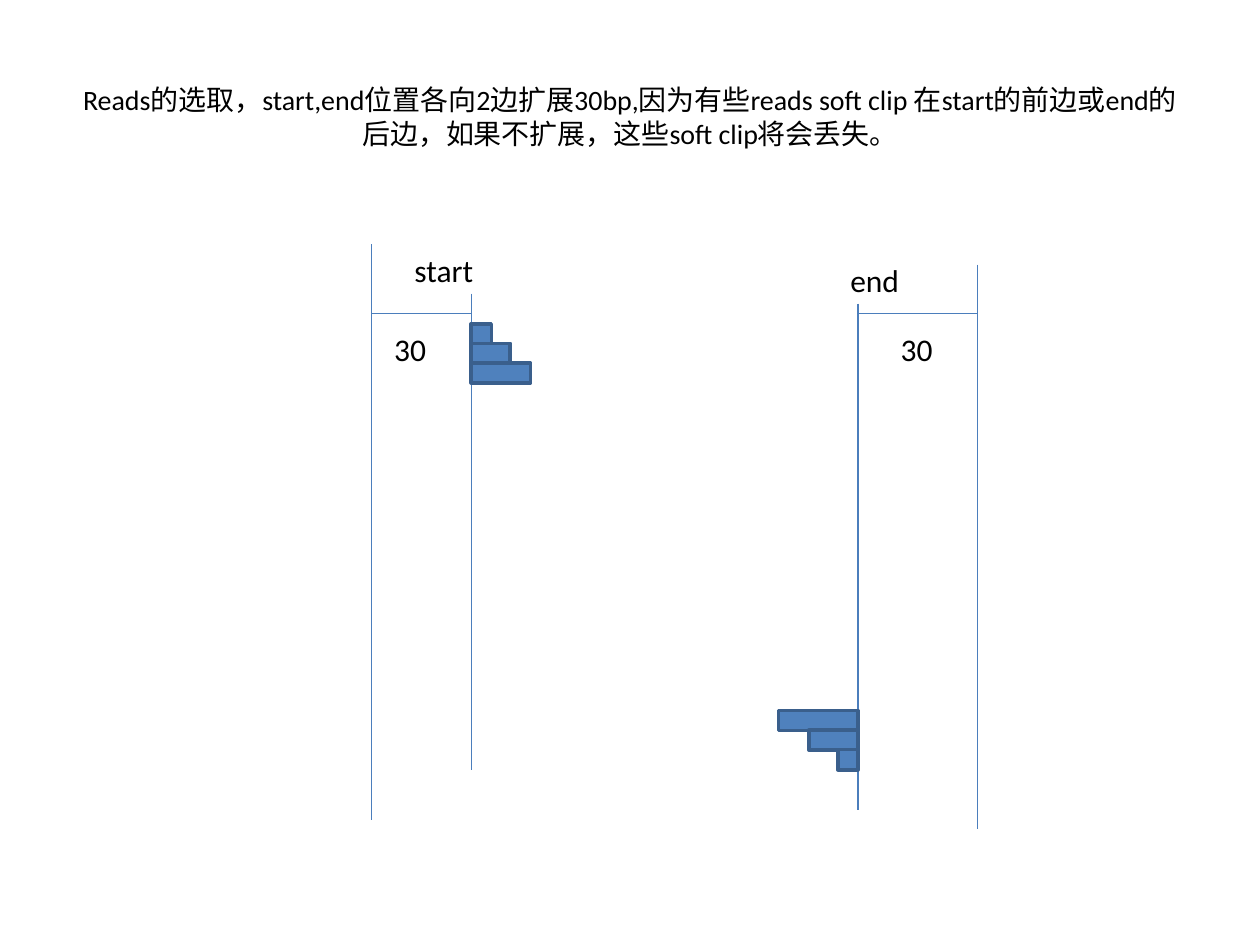
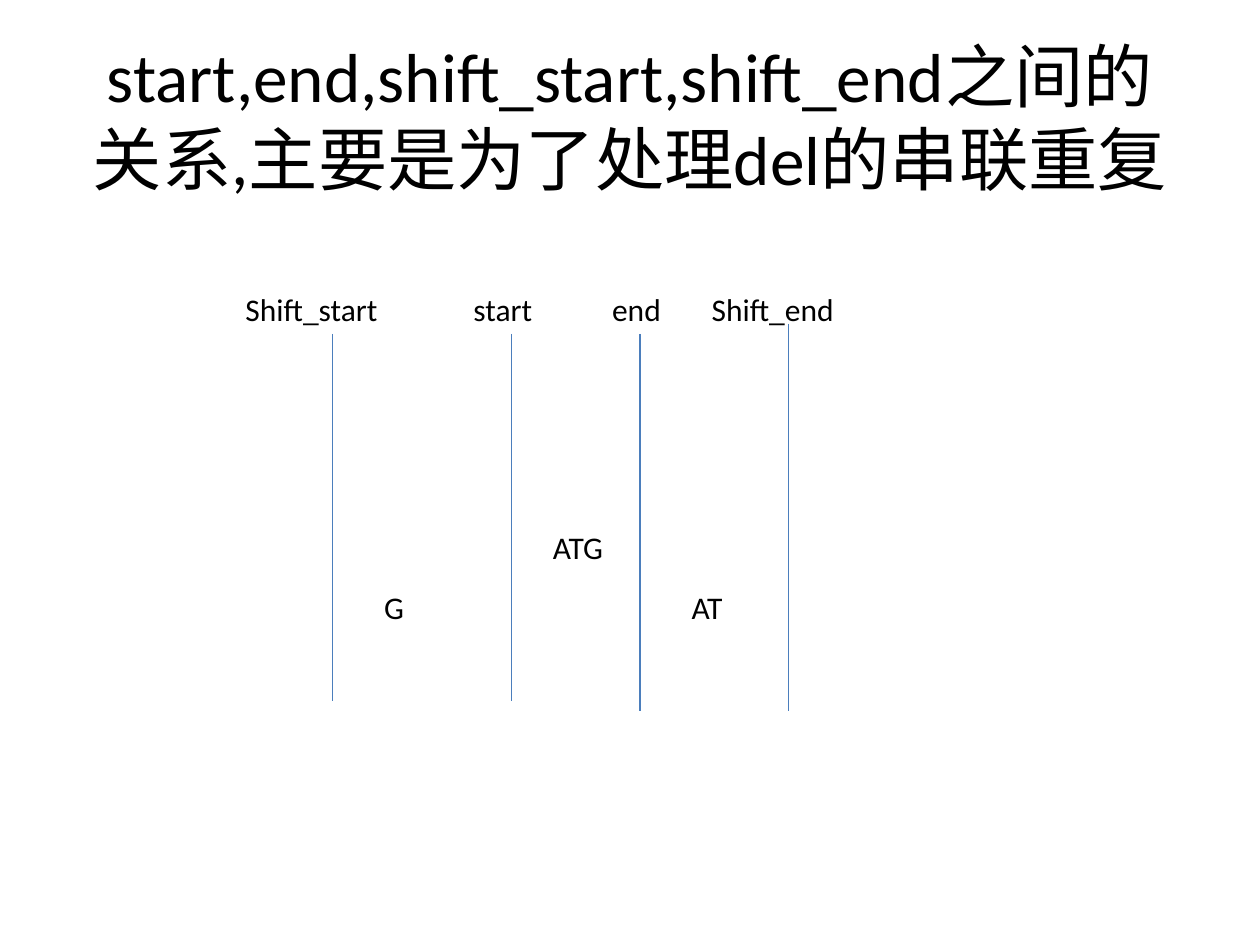
"""Two slides on read selection around start/end and on shifted deletions."""
from typing import NamedTuple

from lxml import etree
from pptx import Presentation
from pptx.dml.color import RGBColor
from pptx.enum.shapes import MSO_CONNECTOR, MSO_SHAPE
from pptx.enum.text import MSO_ANCHOR, MSO_AUTO_SIZE, PP_ALIGN
from pptx.oxml.ns import qn
from pptx.slide import Slide
from pptx.util import Inches, Pt

STRAIGHT = MSO_CONNECTOR.STRAIGHT
RECTANGLE = MSO_SHAPE.RECTANGLE
TOP, MIDDLE = MSO_ANCHOR.TOP, MSO_ANCHOR.MIDDLE
LEFT, CENTER = PP_ALIGN.LEFT, PP_ALIGN.CENTER
NO_AUTO_SIZE = MSO_AUTO_SIZE.NONE

FONT = "Calibri"
TEXT_COLOR = "000000"
LINE_COLOR = "4B7EBC"
READ_FILL = "4F81BD"
READ_BORDER = "3A5F8C"
LABEL_HEIGHT = 0.4
READ_HEIGHT = 0.16
READ_STEP = 0.155


class Label(NamedTuple):
    """A short caption, in inches."""
    text: str
    left: float
    top: float
    width: float


class Marker(NamedTuple):
    """A vertical line at a genome position, in inches."""
    x: float
    top: float
    bottom: float


def color(value: str) -> RGBColor:
    """Turn a hex string into a colour."""
    return RGBColor.from_string(value)


def add_text(page: Slide, label: Label, height: float = LABEL_HEIGHT, size: float = 18,
             align: PP_ALIGN = LEFT, anchor: MSO_ANCHOR = TOP) -> None:
    """Add a wrapped text box with one paragraph."""
    box = page.shapes.add_textbox(Inches(label.left), Inches(label.top),
                                  Inches(label.width), Inches(height))
    frame = box.text_frame
    frame.text = label.text
    frame.word_wrap = True
    frame.auto_size = NO_AUTO_SIZE
    frame.vertical_anchor = anchor
    para = frame.paragraphs[0]
    para.alignment = align
    for span in para.runs:
        span.font.name = FONT
        span.font.size = Pt(size)
        span.font.color.rgb = color(TEXT_COLOR)


def add_title(page: Slide, text: str, size: float) -> None:
    """Add the centred slide title."""
    add_text(page, Label(text, 0.5, 0.3, 9), 1.25, size, CENTER, MIDDLE)


def add_line(page: Slide, x1: float, y1: float, x2: float, y2: float) -> None:
    """Add a thin straight line without a shadow."""
    line = page.shapes.add_connector(STRAIGHT, Inches(x1), Inches(y1), Inches(x2), Inches(y2))
    line.line.color.rgb = color(LINE_COLOR)
    line.line.width = Pt(0.75)
    etree.SubElement(line._element.spPr, qn("a:effectLst"))


def add_markers(page: Slide, markers: list[Marker]) -> None:
    """Add the vertical position lines."""
    for marker in markers:
        add_line(page, marker.x, marker.top, marker.x, marker.bottom)


def add_read(page: Slide, left: float, top: float, width: float) -> None:
    """Add one read as a bar."""
    read = page.shapes.add_shape(RECTANGLE, Inches(left), Inches(top),
                                 Inches(width), Inches(READ_HEIGHT))
    read.shadow.inherit = False
    read.fill.solid()
    read.fill.fore_color.rgb = color(READ_FILL)
    read.line.color.rgb = color(READ_BORDER)
    read.line.width = Pt(2)


def build_read_selection(page: Slide) -> None:
    """Show how the start and end positions are extended by 30 bp."""
    add_title(page, "Reads的选取，start,end位置各向2边扩展30bp,因为有些reads soft clip "
                    "在start的前边或end的后边，如果不扩展，这些soft clip将会丢失。", 16)
    start, end = Marker(3.74, 2.33, 6.11), Marker(6.81, 2.41, 6.43)
    outer_start, outer_end = Marker(2.95, 1.94, 6.51), Marker(7.76, 2.1, 6.58)
    add_markers(page, [start, end])
    for row, width in enumerate((0.16, 0.31, 0.47)):
        add_read(page, start.x, 2.57 + row * READ_STEP, width)
    for row, width in enumerate((0.63, 0.39, 0.16)):
        add_read(page, end.x - width, 5.64 + row * READ_STEP, width)
    for left, right in ((outer_start, start), (end, outer_end)):
        add_line(page, left.x, 2.49, right.x, 2.49)
    add_markers(page, [outer_start, outer_end])
    for label in (Label("start", 3.19, 1.94, 1.02), Label("end", 6.65, 2.02, 0.87),
                  Label("30", 3.03, 2.57, 1.02), Label("30", 7.05, 2.57, 0.55)):
        add_text(page, label)


def build_shift_relation(page: Slide) -> None:
    """Show how the shifted positions relate to start and end."""
    add_title(page, "start,end,shift_start,shift_end之间的关系,主要是为了处理del的串联重复", 39.6)
    add_markers(page, [Marker(2.64, 2.65, 5.56), Marker(4.06, 2.65, 5.56),
                       Marker(5.08, 2.65, 5.64), Marker(6.26, 2.57, 5.64)])
    names = {"Shift_start": 1.85, "start": 3.66, "end": 4.76, "Shift_end": 5.55}
    for name, left in names.items():
        add_text(page, Label(name, left, 2.25, 1.5))
    for bases in (Label("ATG", 4.29, 4.14, 3.23), Label("G", 2.95, 4.62, 0.55),
                  Label("AT", 5.39, 4.62, 0.47)):
        add_text(page, bases)


def main() -> None:
    """Build and save the deck."""
    deck = Presentation()
    deck.slide_width, deck.slide_height = Inches(10), Inches(7.5)
    blank = deck.slide_layouts[6]
    for build in (build_read_selection, build_shift_relation):
        build(deck.slides.add_slide(blank))
    deck.save("out.pptx")


main()
